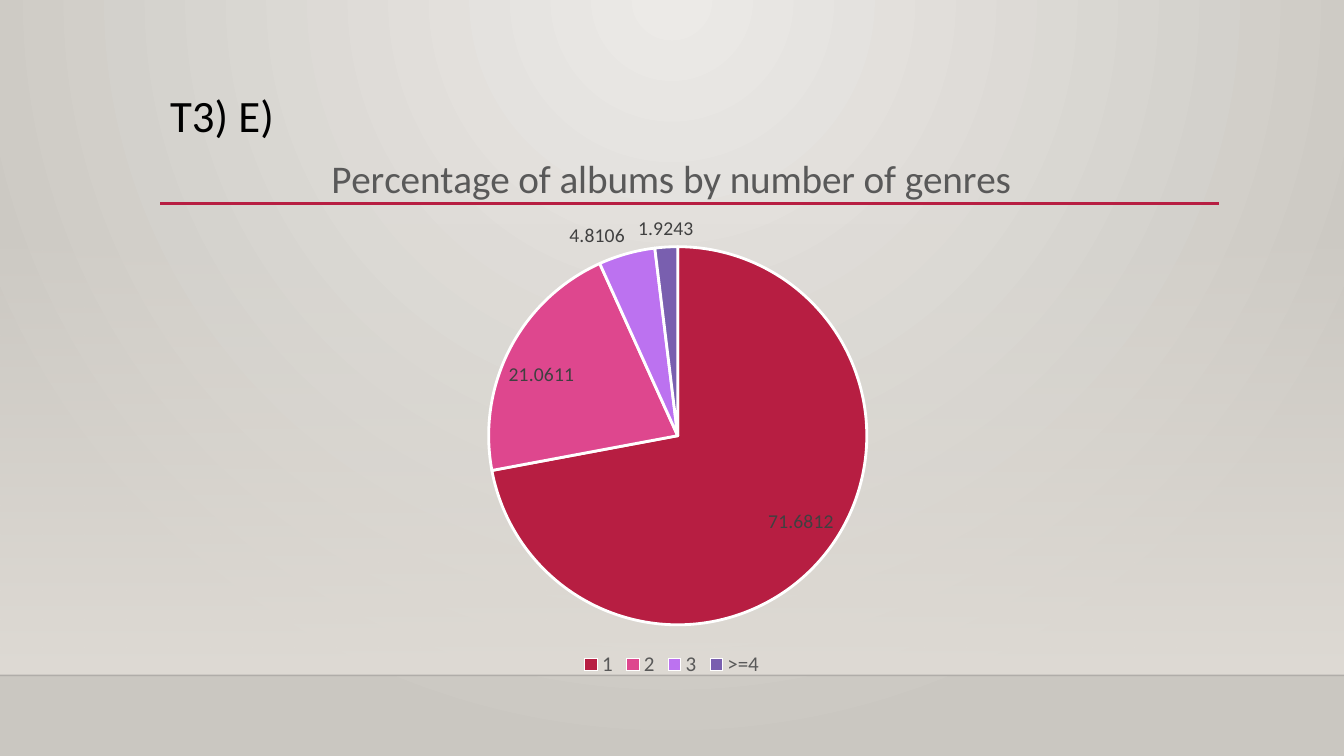
from dataclasses import dataclass

from pptx import Presentation
from pptx.chart.chart import Chart
from pptx.chart.data import CategoryChartData
from pptx.dml.color import RGBColor
from pptx.dml.fill import FillFormat
from pptx.enum.chart import XL_CHART_TYPE, XL_LABEL_POSITION, XL_LEGEND_POSITION
from pptx.enum.shapes import MSO_CONNECTOR, MSO_SHAPE
from pptx.enum.text import MSO_ANCHOR
from pptx.oxml import parse_xml
from pptx.oxml.ns import nsdecls, qn
from pptx.slide import Slide
from pptx.text.text import Font
from pptx.util import Pt

FONT = "Calibri"
BLACK = RGBColor(0x00, 0x00, 0x00)
WHITE = RGBColor(0xFF, 0xFF, 0xFF)
RULE_RED = RGBColor(0xB7, 0x1E, 0x42)
EDGE_BLACK = RGBColor(0x00, 0x00, 0x01)
TITLE_GREY = RGBColor(0x59, 0x59, 0x59)
LABEL_GREY = RGBColor(0x40, 0x40, 0x40)
BACK_LIGHT = RGBColor(0xEC, 0xEA, 0xE7)
BACK_DARK = RGBColor(0xCA, 0xC7, 0xC1)
WALL = RGBColor(0xDF, 0xDB, 0xD5)

WIDTH, HEIGHT = 960, 540
FLOOR_Y = 482.4


@dataclass
class Rule:
    left: float
    right: float
    y: float
    color: RGBColor
    weight: float
    opacity: int = 100


@dataclass
class Slice:
    genres: str
    percent: float
    color: RGBColor


RULES = [
    Rule(0, WIDTH, FLOOR_Y, EDGE_BLACK, 1, 20),
    Rule(114.5, 871, 145.4, RULE_RED, 2.5),
]
SLICES = [
    Slice("1", 71.6812, RULE_RED),
    Slice("2", 21.0611, RGBColor(0xDE, 0x47, 0x8E)),
    Slice("3", 4.8106, RGBColor(0xBC, 0x72, 0xF0)),
    Slice(">=4", 1.9243, RGBColor(0x79, 0x5F, 0xAF)),
]


def set_gradient(fill: FillFormat, start: RGBColor, end: RGBColor) -> None:
    fill.gradient()
    for stop, color in zip(fill.gradient_stops, (start, end)):
        stop.color.rgb = color


def set_alpha(color_element, percent: int) -> None:
    color_element.append(
        parse_xml(f'<a:alpha {nsdecls("a")} val="{percent * 1000}"/>'))


def set_font(font: Font, size: float, color: RGBColor) -> None:
    font.name = FONT
    font.size = Pt(size)
    font.color.rgb = color
    font.bold = False


def draw_background(slide: Slide) -> None:
    set_gradient(slide.background.fill, BACK_LIGHT, BACK_DARK)
    grad = next(slide.element.iter(qn("a:gradFill")))
    grad.replace(grad.find(qn("a:lin")), parse_xml(
        f'<a:path {nsdecls("a")} path="circle">'
        '<a:fillToRect l="43000" r="43000" b="100000"/></a:path>'))


def draw_wall(slide: Slide) -> None:
    s = slide.shapes.add_shape(
        MSO_SHAPE.RECTANGLE, 0, Pt(159), Pt(WIDTH), Pt(FLOOR_Y - 159))
    s.shadow.inherit = False
    s.line.fill.background()
    set_gradient(s.fill, WALL, WALL)
    s.fill.gradient_angle = 270
    set_alpha(next(s.element.iter(qn("a:srgbClr"))), 0)


def draw_rule(slide: Slide, rule: Rule) -> None:
    c = slide.shapes.add_connector(
        MSO_CONNECTOR.STRAIGHT, Pt(rule.left), Pt(rule.y), Pt(rule.right), Pt(rule.y))
    c.line.color.rgb = rule.color
    c.line.width = Pt(rule.weight)
    if rule.opacity < 100:
        set_alpha(next(c.element.iter(qn("a:srgbClr"))), rule.opacity)
    c.element.spPr.append(parse_xml(f'<a:effectLst {nsdecls("a")}/>'))


def draw_heading(slide: Slide) -> None:
    tf = slide.shapes.add_textbox(Pt(114.5), Pt(63.4), Pt(756), Pt(82.8)).text_frame
    tf.word_wrap = True
    tf.vertical_anchor = MSO_ANCHOR.TOP
    tf.text = "T3) E)"
    p = tf.paragraphs[0]
    p.line_spacing = 0.9
    set_font(p.runs[0].font, 32, BLACK)


def manual_layout(inner: bool = False, **fractions: float):
    target = '<c:layoutTarget val="inner"/>' if inner else ""
    modes = "".join(f'<c:{k}Mode val="edge"/>' for k in "xy")
    values = "".join(f'<c:{k} val="{v}"/>' for k, v in fractions.items())
    return parse_xml(f'<c:layout {nsdecls("c")}><c:manualLayout>'
                     f'{target}{modes}{values}</c:manualLayout></c:layout>')


def place(parent, layout, index: int) -> None:
    for old in parent.findall(qn("c:layout")):
        parent.remove(old)
    parent.insert(index, layout)


def style_chart(chart: Chart) -> None:
    set_font(chart.font, 10, BLACK)

    # Title
    chart.has_title = True
    title = chart.chart_title
    tf = title.text_frame
    tf.text = "Percentage of albums by number of genres"
    set_font(tf.paragraphs[0].runs[0].font, 28, TITLE_GREY)
    title.include_in_layout = False
    place(title._element, manual_layout(x=0.2, y=0.05), 1)

    # Legend
    chart.has_legend = True
    chart.legend.position = XL_LEGEND_POSITION.BOTTOM
    chart.legend.include_in_layout = False
    set_font(chart.legend.font, 15, TITLE_GREY)

    # Slices and their values
    plot = chart.plots[0]
    place(plot._element.getparent(),
          manual_layout(inner=True, x=0.34, y=0.23, w=0.33, h=0.67), 0)
    for i, item in enumerate(SLICES):
        fmt = plot.series[0].points[i].format
        fmt.fill.solid()
        fmt.fill.fore_color.rgb = item.color
        fmt.line.color.rgb = WHITE
        fmt.line.width = Pt(2)
    plot.has_data_labels = True
    labels = plot.data_labels
    labels.show_value = True
    labels.show_percentage = False
    labels.position = XL_LABEL_POSITION.BEST_FIT
    set_font(labels.font, 14, LABEL_GREY)


def draw_pie(slide: Slide) -> None:
    data = CategoryChartData()
    data.categories = [item.genres for item in SLICES]
    data.add_series("Series 1", [item.percent for item in SLICES])
    frame = slide.shapes.add_chart(
        XL_CHART_TYPE.PIE, Pt(66), Pt(83.5), Pt(828), Pt(403.2), data)
    style_chart(frame.chart)


def main() -> None:
    prs = Presentation()
    prs.slide_width, prs.slide_height = Pt(WIDTH), Pt(HEIGHT)
    slide = prs.slides.add_slide(prs.slide_layouts[6])

    # Backdrop
    draw_background(slide)
    draw_wall(slide)
    for rule in RULES:
        draw_rule(slide, rule)

    # Content
    draw_heading(slide)
    draw_pie(slide)
    prs.save("out.pptx")


if __name__ == "__main__":
    main()
